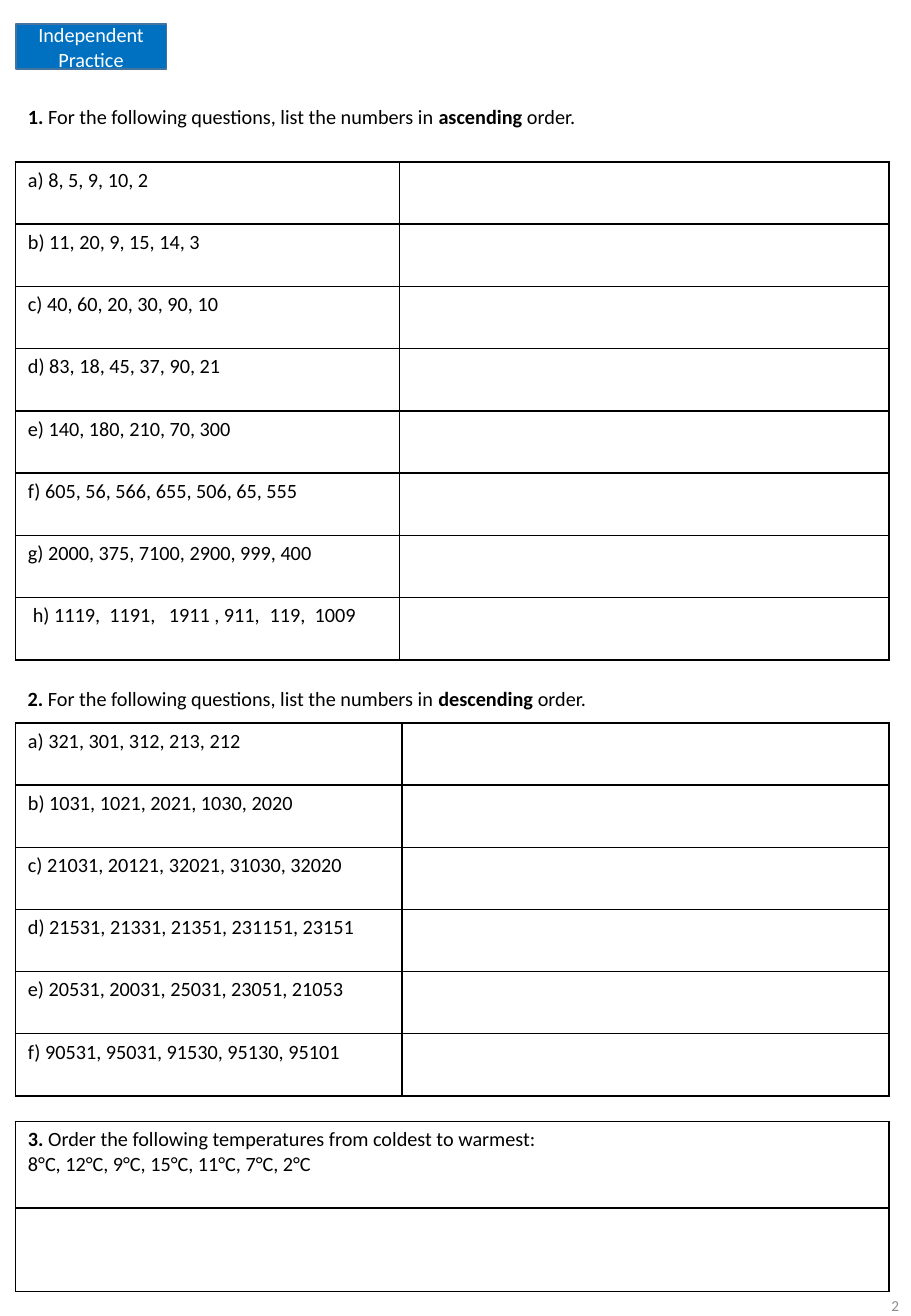
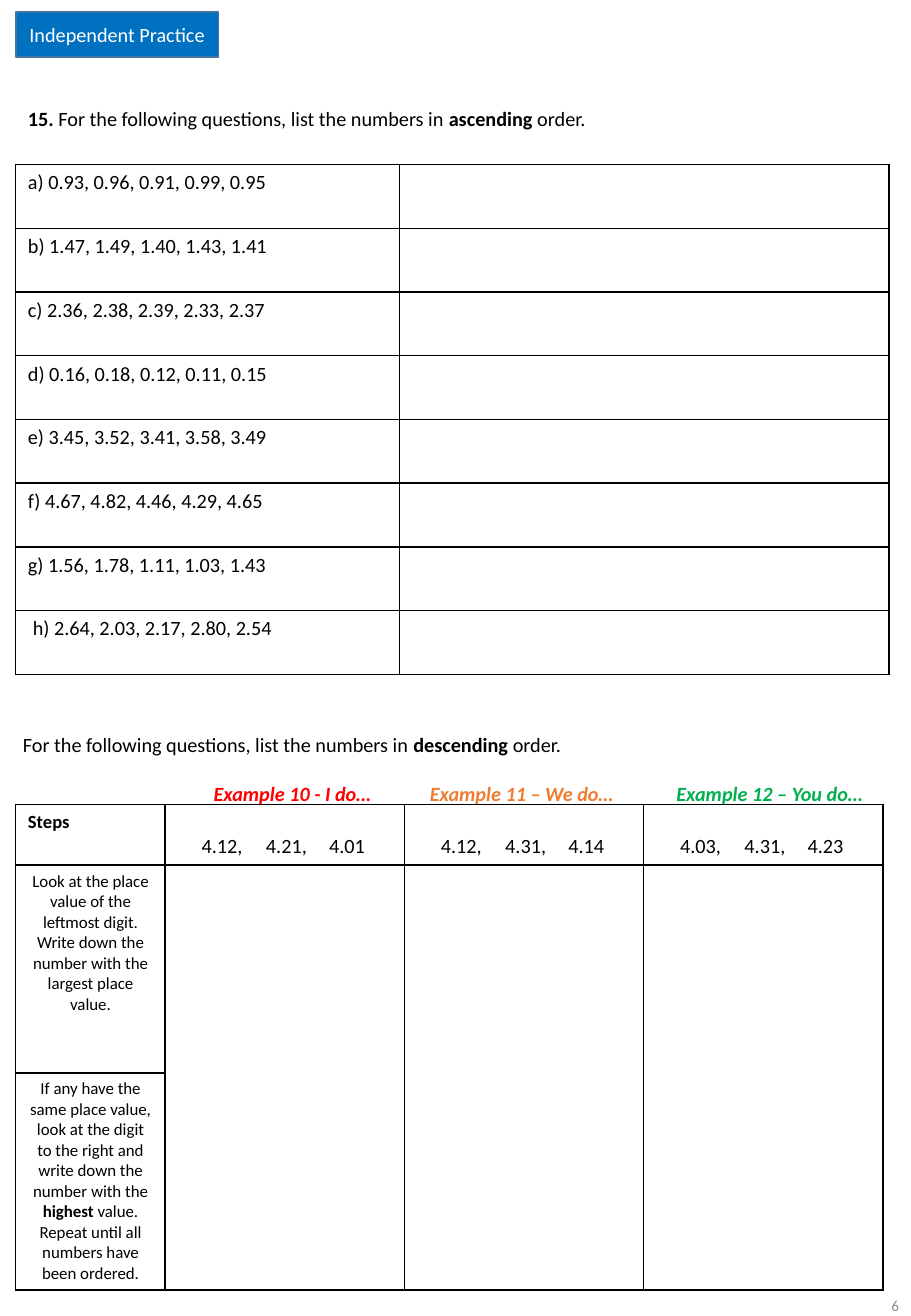
from dataclasses import dataclass

from lxml import etree
from pptx import Presentation
from pptx.dml.color import RGBColor
from pptx.enum.text import MSO_ANCHOR, MSO_AUTO_SIZE, PP_ALIGN
from pptx.oxml.ns import qn
from pptx.util import Emu, Pt

LEFT, CENTER, RIGHT = PP_ALIGN.LEFT, PP_ALIGN.CENTER, PP_ALIGN.RIGHT
TOP, MIDDLE, BOTTOM = MSO_ANCHOR.TOP, MSO_ANCHOR.MIDDLE, MSO_ANCHOR.BOTTOM
NO_FIT = MSO_AUTO_SIZE.NONE
TITLE_ONLY = 5
EMU_PER_PX = 9144  # 100 px to the inch
BOLD = {"bold": True}
BOLD_ITALIC = {"bold": True, "italic": True}


@dataclass(frozen=True)
class Theme:
    font: str = "Calibri"
    ink: str = "000000"
    paper: str = "FFFFFF"
    tag: str = "0070C0"
    tag_line: str = "43739E"
    muted: str = "8C8C8C"
    i_do: str = "FF0000"
    we_do: str = "ED7D31"
    you_do: str = "00B050"
    body: int = 12
    heading: int = 11
    step: int = 10
    footer: int = 9
    line: int = 1
    margin: int = 13
    table_width: int = 719


def px(n):
    return Emu(round(n * EMU_PER_PX))


def rgb(color):
    return RGBColor.from_string(color)


class Worksheet:
    def __init__(self, theme, width, height):
        self.theme = theme
        self.prs = Presentation()
        self.prs.slide_width, self.prs.slide_height = px(width), px(height)
        self.s = None

    def slide(self, number):
        self.s = self.prs.slides.add_slide(self.prs.slide_layouts[TITLE_ONLY])
        self.text(581, 1045, 169, 58, [[(str(number), {})]], anchor=MIDDLE,
                  size=self.theme.footer, color=self.theme.muted, align=RIGHT)

    def add_text(self, tf, paragraphs, size=None, color=None, align=LEFT, tabs=()):
        """Each paragraph is a list of (text, font settings) runs."""
        for i, runs in enumerate(paragraphs):
            p = tf.add_paragraph() if i else tf.paragraphs[0]
            if tabs:
                stops = etree.SubElement(p._p.get_or_add_pPr(), qn("a:tabLst"))
                for stop in tabs:
                    etree.SubElement(stops, qn("a:tab"), pos=str(px(stop)), algn="l")
            p.alignment = align
            for text, style in runs:
                r = p.add_run()
                r.text = text
                r.font.name = self.theme.font
                r.font.size = Pt(size or self.theme.body)
                r.font.color.rgb = rgb(color or self.theme.ink)
                r.font.bold = style.get("bold")
                r.font.italic = style.get("italic")

    def text(self, x, y, w, h, paragraphs, anchor=TOP, **style):
        tf = self.s.shapes.add_textbox(px(x), px(y), px(w), px(h)).text_frame
        tf.word_wrap = True
        tf.vertical_anchor = anchor
        self.add_text(tf, paragraphs, **style)

    def tag(self, y, w, text):
        """The slide title as a filled label, in front of the tables."""
        t = self.theme
        sp = self.s.shapes.title
        sp.element.getparent().append(sp.element)
        sp.left, sp.top, sp.width, sp.height = px(t.margin), px(y), px(w), px(37)
        sp.fill.solid()
        sp.fill.fore_color.rgb = rgb(t.tag)
        sp.line.color.rgb = rgb(t.tag_line)
        sp.line.width = Pt(t.line)
        tf = sp.text_frame
        tf.word_wrap = True
        tf.auto_size = NO_FIT
        tf.vertical_anchor = MIDDLE
        self.add_text(tf, [[(text, {})]], color=t.paper, align=CENTER)

    def border(self, cell, sides):
        tc_pr = cell._tc.get_or_add_tcPr()
        for side in sides:
            ln = etree.SubElement(tc_pr, qn("a:ln" + side), w=str(Pt(self.theme.line)))
            fill = etree.SubElement(ln, qn("a:solidFill"))
            etree.SubElement(fill, qn("a:srgbClr"), val=self.theme.ink)

    def table(self, y, cols, rows, bare=0, merges=()):
        """The first `bare` rows have no grid; merges are (row, col, row, col)."""
        frame = self.s.shapes.add_table(len(rows), len(cols), px(self.theme.margin),
                                        px(y), px(sum(cols)), px(sum(rows)))
        tbl = frame.table
        tbl.first_row = tbl.horz_banding = False
        for col, w in zip(tbl.columns, cols):
            col.width = px(w)
        for i, (row, h) in enumerate(zip(tbl.rows, rows)):
            row.height = px(h)
            sides = "LRTB" if i >= bare else "B" if i == bare - 1 else ""
            for cell in row.cells:
                self.border(cell, sides)
                cell.fill.solid()
                cell.fill.fore_color.rgb = rgb(self.theme.paper)
        for r1, c1, r2, c2 in merges:
            tbl.cell(r1, c1).merge(tbl.cell(r2, c2))
        return tbl

    def questions(self, y, height, first_col, items, intro=None, spacer=0, last_tabs=()):
        """Lettered questions beside answer cells, below an optional intro row."""
        cols = [first_col, self.theme.table_width - first_col]
        bare = 2 if intro else 0
        n = len(items) + (1 if intro else 0)
        rows = ([spacer] if intro else []) + [(height - spacer) / n] * n
        tbl = self.table(y, cols, rows, bare, [(i, 0, i, 1) for i in range(bare)])
        if intro:
            self.add_text(tbl.cell(1, 0).text_frame, [intro])
        for i, (letter, numbers) in enumerate(zip("abcdefgh", items)):
            cell = tbl.cell(bare + i, 0)
            tabs = ()
            if letter == "h":  # slightly indented row
                cell.margin_left = px(14)
                tabs = last_tabs
            self.add_text(cell.text_frame, [[(f"{letter}) {numbers}", {})]], tabs=tabs)


def order_task(number, direction):
    runs = [(f"{number}. ", BOLD)] if number else []
    return runs + [("For the following questions, list the numbers in ", {}),
                   (direction, BOLD), (" order.", {})]


def whole_numbers(ws):
    ws.slide(2)
    # Question 1
    ws.questions(39, 504, 316, [
        "8, 5, 9, 10, 2",
        "11, 20, 9, 15, 14, 3",
        "40, 60, 20, 30, 90, 10",
        "83, 18, 45, 37, 90, 21",
        "140, 180, 210, 70, 300",
        "605, 56, 566, 655, 506, 65, 555",
        "2000, 375, 7100, 2900, 999, 400",
        "1119,\t1191,\t1911 , 911,\t119,\t1009",
    ], order_task(1, "ascending"), 43, (63, 112, 195, 232))
    ws.tag(20, 124, "Independent Practice")

    # Question 2
    ws.questions(595, 307, 318, [
        "321, 301, 312, 213, 212",
        "1031, 1021, 2021, 1030, 2020",
        "21031, 20121, 32021, 31030, 32020",
        "21531, 21331, 21351, 231151, 23151",
        "20531, 20031, 25031, 23051, 21053",
        "90531, 95031, 91530, 95130, 95101",
    ])
    ws.text(13, 560, 620, 30, [order_task(2, "descending")])

    # Question 3
    tbl = ws.table(923, [ws.theme.table_width], [71, 69])
    ws.add_text(tbl.cell(0, 0).text_frame, [
        [("3.", BOLD), (" Order the following temperatures from coldest to warmest:", {})],
        [("8°C, 12°C, 9°C, 15°C, 11°C, 7°C, 2°C", {})],
    ])


def decimals(ws):
    t = ws.theme
    ws.slide(6)
    # Question 15
    ws.questions(39, 516, 316, [
        "0.93, 0.96, 0.91, 0.99, 0.95",
        "1.47, 1.49, 1.40, 1.43, 1.41",
        "2.36, 2.38, 2.39, 2.33, 2.37",
        "0.16, 0.18, 0.12, 0.11, 0.15",
        "3.45, 3.52, 3.41, 3.58, 3.49",
        "4.67, 4.82, 4.46, 4.29, 4.65",
        "1.56, 1.78, 1.11, 1.03, 1.43",
        "2.64, 2.03, 2.17, 2.80, 2.54",
    ], order_task(15, "ascending"), 44)
    ws.tag(10, 167, "Independent Practice")

    # Worked examples: steps on the left, one column per example
    merges = [(0, 0, 0, 3), (1, 1, 1, 3)] + [(3, c, 4, c) for c in (1, 2, 3)]
    tbl = ws.table(562, [123, 197, 197, 197], [46, 54, 50, 171, 177], 2, merges)
    ws.add_text(tbl.cell(2, 0).text_frame, [[("Steps", BOLD)]], size=t.heading)
    steps = [
        [("Look at the place value of the leftmost digit. Write down the number "
          "with the largest place value.", {})],
        [("If any have the same place value, look at the digit to the right and "
          "write down the number with the ", {}), ("highest", BOLD),
         (" value. Repeat until all numbers have been ordered.", {})],
    ]
    for row, runs in enumerate(steps, 3):
        ws.add_text(tbl.cell(row, 0).text_frame, [runs], size=t.step, align=CENTER)

    examples = [
        (166, 154, "Example 10 - I do…", t.i_do, "4.12,\t4.21,\t4.01"),
        (344, 180, "Example 11 – We do…", t.we_do, "4.12,\t4.31,\t4.14"),
        (547, 180, "Example 12 – You do…", t.you_do, "4.03,\t4.31,\t4.23"),
    ]
    for col, (x, w, label, color, numbers) in enumerate(examples, 1):
        cell = tbl.cell(2, col)
        cell.vertical_anchor = BOTTOM
        cell.margin_left = px(30)
        ws.add_text(cell.text_frame, [[(numbers, {})]], tabs=(53, 105))
        ws.text(x, 638, w, 30, [[(label, BOLD_ITALIC)]], color=color)
    ws.text(9, 598, 488, 50, [order_task(None, "descending")])


def main():
    ws = Worksheet(Theme(), 750, 1083)
    whole_numbers(ws)
    decimals(ws)
    ws.prs.save("out.pptx")


if __name__ == "__main__":
    main()
